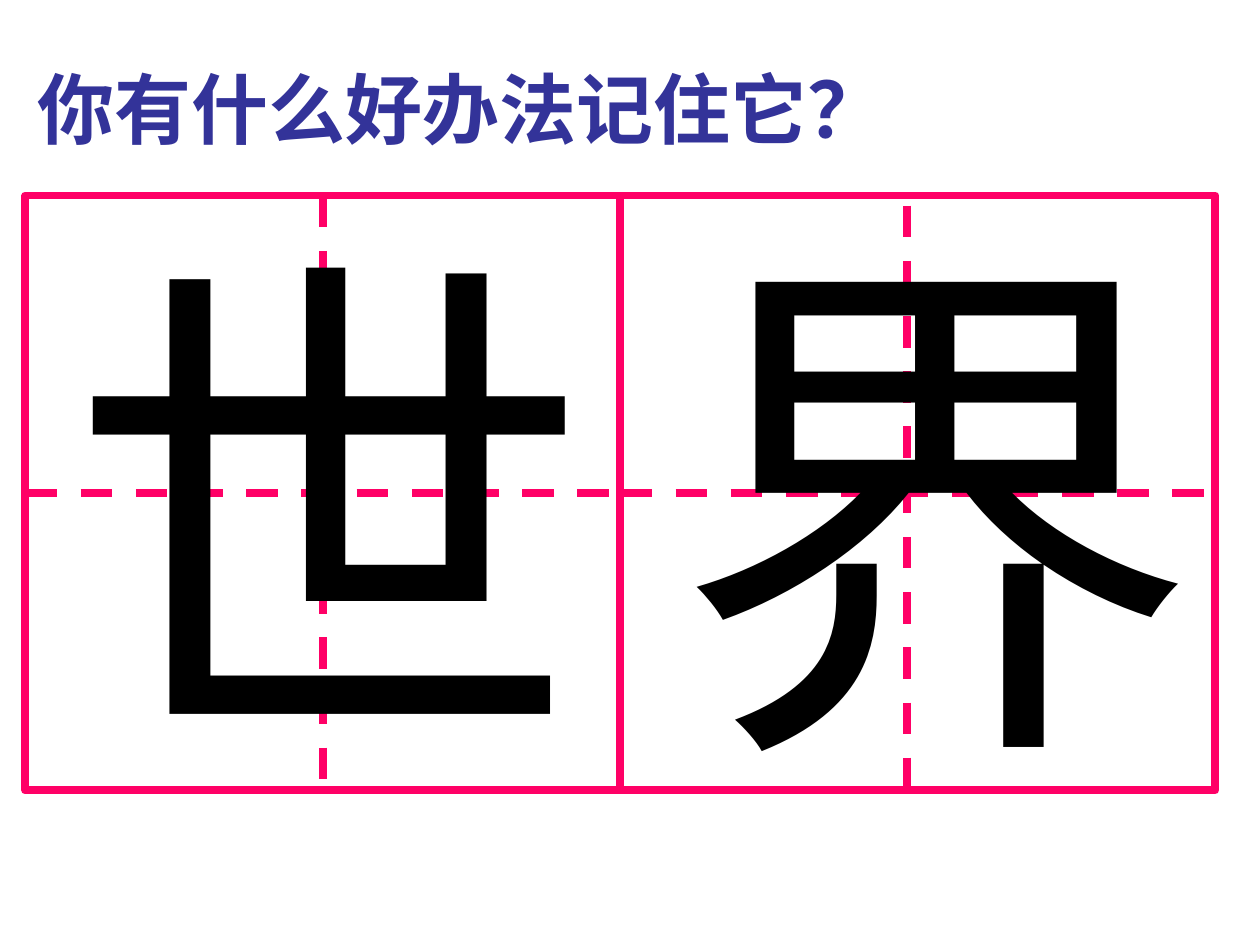
from dataclasses import dataclass

from lxml import etree
from pptx import Presentation
from pptx.dml.color import RGBColor
from pptx.enum.dml import MSO_LINE
from pptx.enum.shapes import MSO_CONNECTOR, MSO_SHAPE
from pptx.oxml.ns import qn
from pptx.util import Pt

DASH = MSO_LINE.DASH
STRAIGHT = MSO_CONNECTOR.STRAIGHT
RECTANGLE = MSO_SHAPE.RECTANGLE


@dataclass(frozen=True)
class Theme:
    font: str = "Times New Roman"
    grid: RGBColor = RGBColor(0xFF, 0x00, 0x66)
    question: RGBColor = RGBColor(0x33, 0x33, 0x99)
    character: RGBColor = RGBColor(0x00, 0x00, 0x00)
    question_size: float = 44
    character_size: float = 300
    grid_width: float = 4.5


THEME = Theme()
SQUARE = 340
GRID_LEFT = 14.5
GRID_TOP = 111.75


def style_grid_line(line):
    line.color.rgb = THEME.grid
    line.width = Pt(THEME.grid_width)


def add_square(slide, left, top):
    square = slide.shapes.add_shape(RECTANGLE, Pt(left), Pt(top), Pt(SQUARE), Pt(SQUARE))
    square.shadow.inherit = False
    square.fill.background()
    style_grid_line(square.line)


def add_guide(slide, x1, y1, x2, y2):
    """Draw one dashed guide line of a writing square."""
    guide = slide.shapes.add_connector(STRAIGHT, Pt(x1), Pt(y1), Pt(x2), Pt(y2))
    etree.SubElement(guide._element.spPr, qn("a:effectLst"))
    style_grid_line(guide.line)
    guide.line.dash_style = DASH


def add_text(slide, text, left, top, width, height, size, color, bold=False):
    box = slide.shapes.add_textbox(Pt(left), Pt(top), Pt(width), Pt(height))
    box.text_frame.word_wrap = True
    paragraph = box.text_frame.paragraphs[0]
    paragraph.text = text
    font = paragraph.font
    font.name = THEME.font
    font.size = Pt(size)
    font.bold = bold
    font.color.rgb = color


def add_writing_square(slide, character, left, guide_x, guide_top, character_left):
    middle = GRID_TOP + SQUARE / 2
    add_guide(slide, guide_x, guide_top, guide_x, guide_top + SQUARE)
    add_square(slide, left, GRID_TOP)
    add_guide(slide, left, middle, left + SQUARE, middle)
    add_text(slide, character, character_left, 100, 342, 420,
             THEME.character_size, THEME.character)


def main():
    presentation = Presentation()
    presentation.slide_width = Pt(720)
    presentation.slide_height = Pt(540)
    slide = presentation.slides.add_slide(presentation.slide_layouts[6])

    add_writing_square(slide, "世", GRID_LEFT, 184.5, GRID_TOP, 31)
    add_text(slide, "你有什么好办法记住它？", GRID_LEFT, 31.5, 510.5, 60.5,
             THEME.question_size, THEME.question, bold=True)
    add_writing_square(slide, "界", GRID_LEFT + SQUARE, 518.5, 117.5, 377.5)

    presentation.save("out.pptx")


if __name__ == "__main__":
    main()
